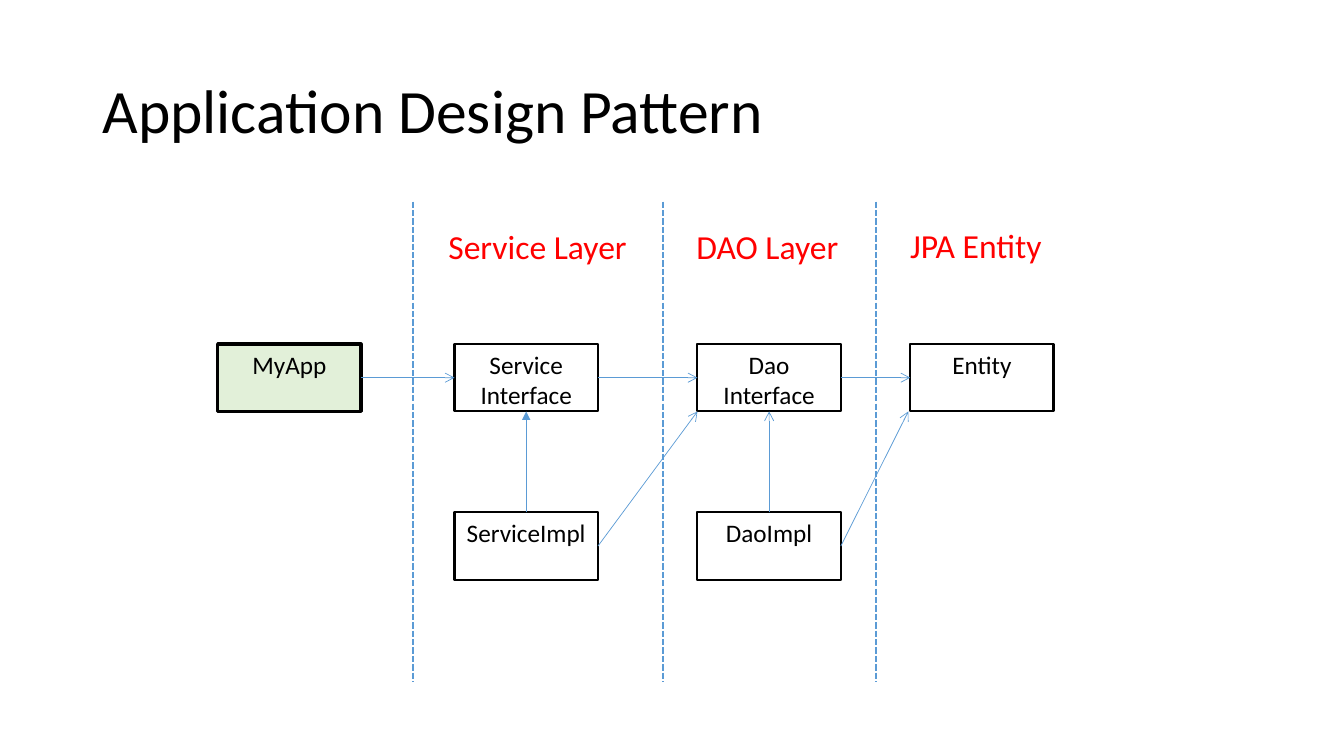
import pptx
import pptx.util
import pptx.dml.color
import pptx.enum.dml
import pptx.enum.shapes
import pptx.enum.text
import pptx.oxml
import pptx.oxml.ns

Pt = pptx.util.Pt
ALIGN = pptx.enum.text.PP_ALIGN
ANCHOR = pptx.enum.text.MSO_ANCHOR
FIT = pptx.enum.text.MSO_AUTO_SIZE
STRAIGHT = pptx.enum.shapes.MSO_CONNECTOR.STRAIGHT


def color(hex_value):
    return pptx.dml.color.RGBColor.from_string(hex_value)


def write(frame, text, size=18, ink="000000", align=ALIGN.LEFT,
          anchor=ANCHOR.TOP, fit=FIT.NONE, wrap=True, spacing=1.0):
    frame.text = text
    frame.vertical_anchor = anchor
    frame.auto_size = fit
    frame.word_wrap = wrap
    for paragraph in frame.paragraphs:
        paragraph.alignment = align
        paragraph.line_spacing = spacing
        paragraph.font.name = "Calibri"
        paragraph.font.size = Pt(size)
        paragraph.font.color.rgb = color(ink)


deck = pptx.Presentation()
deck.slide_width, deck.slide_height = Pt(960), Pt(540)
slide = deck.slides.add_slide(deck.slide_layouts[5])
shapes = slide.shapes

title = shapes.title
title.left, title.top, title.width, title.height = Pt(66), Pt(28.8), Pt(828), Pt(104.4)
write(title.text_frame, "Application Design Pattern", size=44,
      anchor=ANCHOR.MIDDLE, spacing=0.9)

app_x, service_x, dao_x, entity_x = 155.5, 324.7, 498.2, 650.2
interface_y, impl_y = 245.7, 366
box_width, box_height = 102.4, 48.2

components = {}
for label, left, top, fill, border in [
    ("Service\nInterface", service_x, interface_y, "FFFFFF", 1.5),
    ("Dao\nInterface", dao_x, interface_y, "FFFFFF", 1.5),
    ("Entity", entity_x, interface_y, "FFFFFF", 1.5),
    ("MyApp", app_x, interface_y, "E2F0D9", 2.25),
    ("DaoImpl", dao_x, impl_y, "FFFFFF", 1.5),
    ("ServiceImpl", service_x, impl_y, "FFFFFF", 1.5),
]:
    component = shapes.add_shape(pptx.enum.shapes.MSO_SHAPE.RECTANGLE,
                                 Pt(left), Pt(top), Pt(box_width), Pt(box_height))
    component.shadow.inherit = False
    component.fill.solid()
    component.fill.fore_color.rgb = color(fill)
    component.line.color.rgb = color("000000")
    component.line.width = Pt(border)
    write(component.text_frame, label, align=ALIGN.CENTER)
    components[label] = component

links = []
for source, source_side, target, target_side, head in [
    ("MyApp", 3, "Service\nInterface", 1, "arrow"),
    ("Service\nInterface", 3, "Dao\nInterface", 1, "arrow"),
    ("Dao\nInterface", 3, "Entity", 1, "arrow"),
    ("ServiceImpl", 0, "Service\nInterface", 2, "triangle"),
    ("DaoImpl", 0, "Dao\nInterface", 2, "arrow"),
]:
    dependency = shapes.add_connector(STRAIGHT, 0, 0, 0, 0)
    dependency.begin_connect(components[source], source_side)
    dependency.end_connect(components[target], target_side)
    links.append((dependency, 0.5, head))

for source, corner_x in [("ServiceImpl", dao_x), ("DaoImpl", entity_x - 1.4)]:
    corner = Pt(corner_x), Pt(interface_y + box_height)
    dependency = shapes.add_connector(STRAIGHT, *corner, *corner)
    dependency.begin_connect(components[source], 3)
    links.append((dependency, 0.5, "arrow"))

for divider_x in (625.9, 473.8, 295.2):
    divider = shapes.add_connector(STRAIGHT, Pt(divider_x), Pt(144), Pt(divider_x), Pt(486.7))
    divider.line.dash_style = pptx.enum.dml.MSO_LINE.SQUARE_DOT
    links.append((divider, 1.5, None))

for link, width, head in links:
    link.line.color.rgb = color("5B9BD5")
    link.line.width = Pt(width)
    if head:
        tail = pptx.oxml.parse_xml(
            f'<a:tailEnd {pptx.oxml.ns.nsdecls("a")} type="{head}"/>')
        link.line._get_or_add_ln().append(tail)
    link._element.spPr.append(
        pptx.oxml.parse_xml(f'<a:effectLst {pptx.oxml.ns.nsdecls("a")}/>'))

for layer, left, top, width, wrap in [
    ("Service Layer", 313.2, 157.7, 144, True),
    ("DAO Layer", 490.3, 157.7, 116.6, False),
    ("JPA Entity", 643, 157.3, 109.4, False),
]:
    heading = shapes.add_textbox(Pt(left), Pt(top), Pt(width), Pt(36.3))
    write(heading.text_frame, layer, size=24, ink="FF0000",
          fit=FIT.SHAPE_TO_FIT_TEXT, wrap=wrap)

deck.save("out.pptx")
